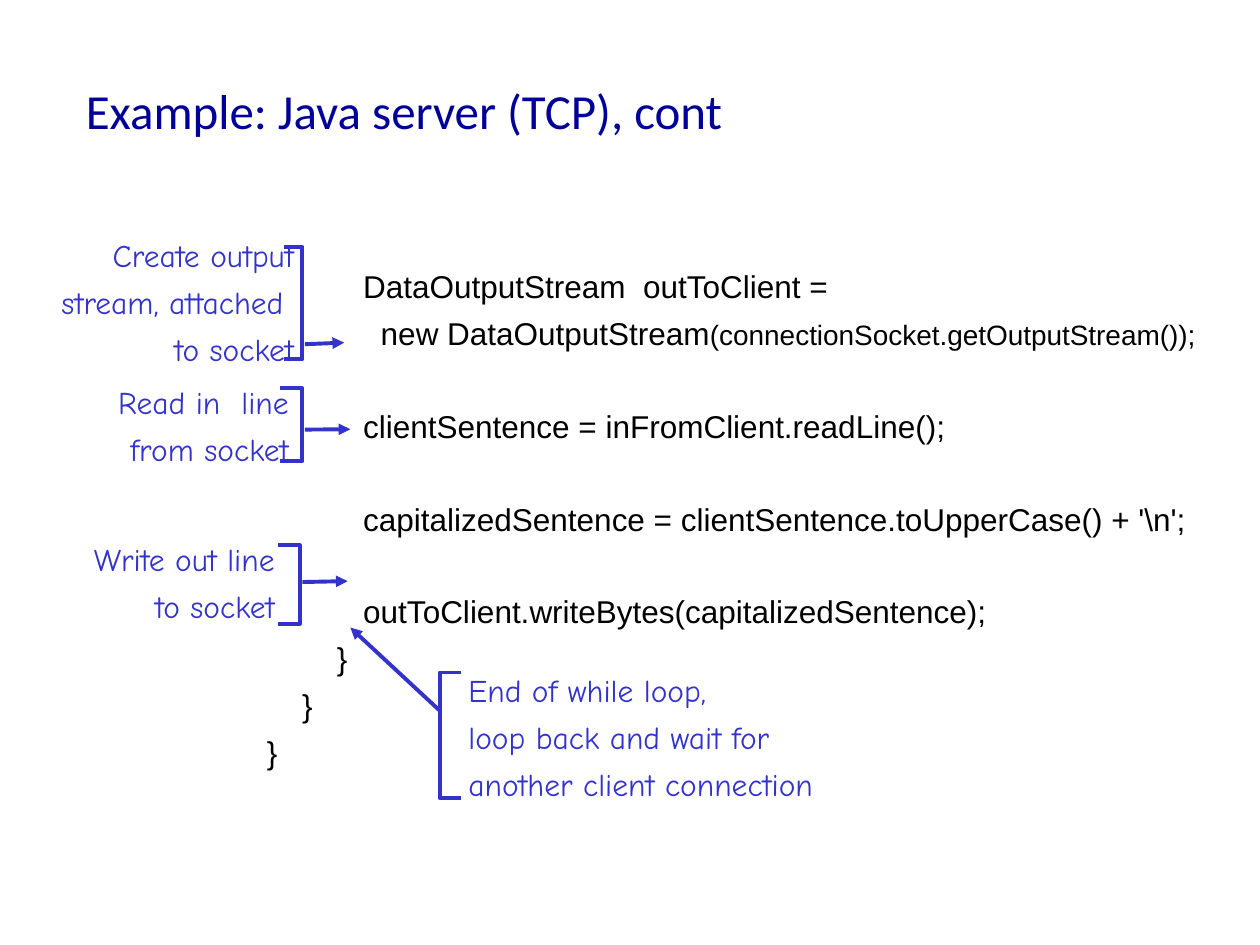
from dataclasses import dataclass
from lxml.etree import SubElement
from pptx import Presentation
from pptx.dml.color import RGBColor
from pptx.enum.shapes import MSO_CONNECTOR as Link
from pptx.enum.text import MSO_ANCHOR as Anchor, PP_ALIGN as Align
from pptx.oxml.ns import qn
from pptx.util import Pt

NAVY, BLUE, BLACK = "000099", "3333CC", "000000"
GAP = 5.3
BLANK = 26
SPACE = 5


@dataclass
class Line:
    text: str
    indent: float = 0
    before: float = GAP
    tail: str = ""


@dataclass
class Note:
    lines: list[str]
    box: tuple[float, float, float, float]
    align: Align
    edge: float
    arm: float
    top: float
    foot: float
    start: tuple[float, float]
    end: tuple[float, float]


def paint(hue: str) -> RGBColor:
    return RGBColor.from_string(hue)


def write(lines: list[Line], box: tuple[float, float, float, float], *,
          font: str, hue: str, size: float = 18, small: float = 16,
          align: Align = Align.LEFT, anchor: Anchor = Anchor.MIDDLE,
          inset: float = 7.2) -> None:
    frame = slide.shapes.add_textbox(*map(Pt, box)).text_frame
    frame.word_wrap = True
    frame.vertical_anchor = anchor
    frame.margin_left = frame.margin_right = Pt(inset)
    frame.margin_top = frame.margin_bottom = Pt(inset / 2)
    for i, line in enumerate(lines):
        para = frame.paragraphs[0] if i == 0 else frame.add_paragraph()
        para.alignment = align
        para.space_before = Pt(line.before if i else 0)
        props = para._p.get_or_add_pPr()
        props.set("marL", str(Pt(line.indent)))
        props.set("indent", "0")
        for text, high in ((line.text, size), (line.tail, small)):
            if text:
                run = para.add_run()
                run.text = text
                run.font.name = font
                run.font.size = Pt(high)
                run.font.color.rgb = paint(hue)


def stroke(shape) -> None:
    shape.line.color.rgb = paint(BLUE)
    shape.line.width = Pt(2.25)


def arrow(start: tuple[float, float], end: tuple[float, float]) -> None:
    link = slide.shapes.add_connector(Link.STRAIGHT, *map(Pt, start + end))
    stroke(link)
    SubElement(link.line._get_or_add_ln(), qn("a:tailEnd"), type="triangle")
    SubElement(link._element.spPr, qn("a:effectLst"))


def clasp(note: Note) -> None:
    pen = slide.shapes.build_freeform(Pt(note.arm), Pt(note.top))
    rest = [(note.edge, note.top), (note.edge, note.foot), (note.arm, note.foot)]
    pen.add_line_segments([(Pt(x), Pt(y)) for x, y in rest], close=False)
    shape = pen.convert_to_shape()
    shape.shadow.inherit = False
    shape.fill.background()
    stroke(shape)


def draw(note: Note) -> None:
    write([Line(text) for text in note.lines], note.box,
          font="Comic Neue", hue=BLUE, align=note.align)
    clasp(note)
    arrow(note.start, note.end)


deck = Presentation()
deck.slide_width, deck.slide_height = Pt(720), Pt(540)
slide = deck.slides.add_slide(deck.slide_layouts[6])

write([Line("Example: Java server (TCP), cont")], (42, 18, 612, 90),
      font="Calibri", hue=NAVY, size=28)

body = 11 * SPACE
code = [
    Line("DataOutputStream  outToClient =", body),
    Line("new DataOutputStream", 13 * SPACE,
         tail="(connectionSocket.getOutputStream());"),
    Line("clientSentence = inFromClient.readLine();", body, GAP + BLANK),
    Line("capitalizedSentence = clientSentence.toUpperCase() + '\\n';",
         body, GAP + BLANK),
    Line("outToClient.writeBytes(capitalizedSentence);", body, GAP + BLANK),
    Line("}", 8 * SPACE),
    Line("}", 4 * SPACE),
    Line("}"),
]
write(code, (152.6, 152.8, 560, 285), font="Arial", hue=BLACK,
      anchor=Anchor.TOP, inset=0)

notes = [
    Note(["Create output", "stream, attached ", "to socket"],
         (10, 132, 165, 81), Align.RIGHT, 172.8, 162.4, 141.1, 205.4,
         (174.2, 196.7), (196.7, 195.8)),
    Note(["Read in  line", "from socket"],
         (7, 215.5, 165, 55), Align.RIGHT, 172.8, 160.2, 221.8, 263.5,
         (174.2, 245.5), (200.2, 245.3)),
    Note(["Write out line", "to socket"],
         (-1, 305.5, 165, 55), Align.RIGHT, 171.2, 158.8, 311.6, 356.5,
         (172.8, 332.6), (198.7, 332.1)),
    Note(["End of while loop,", "loop back and wait for",
          "another client connection"],
         (260.6, 380.5, 225, 81), Align.LEFT, 251.3, 263.5, 384.3, 456.1,
         (251.3, 406.1), (200.2, 358.6)),
]
for note in notes:
    draw(note)

deck.save("out.pptx")
